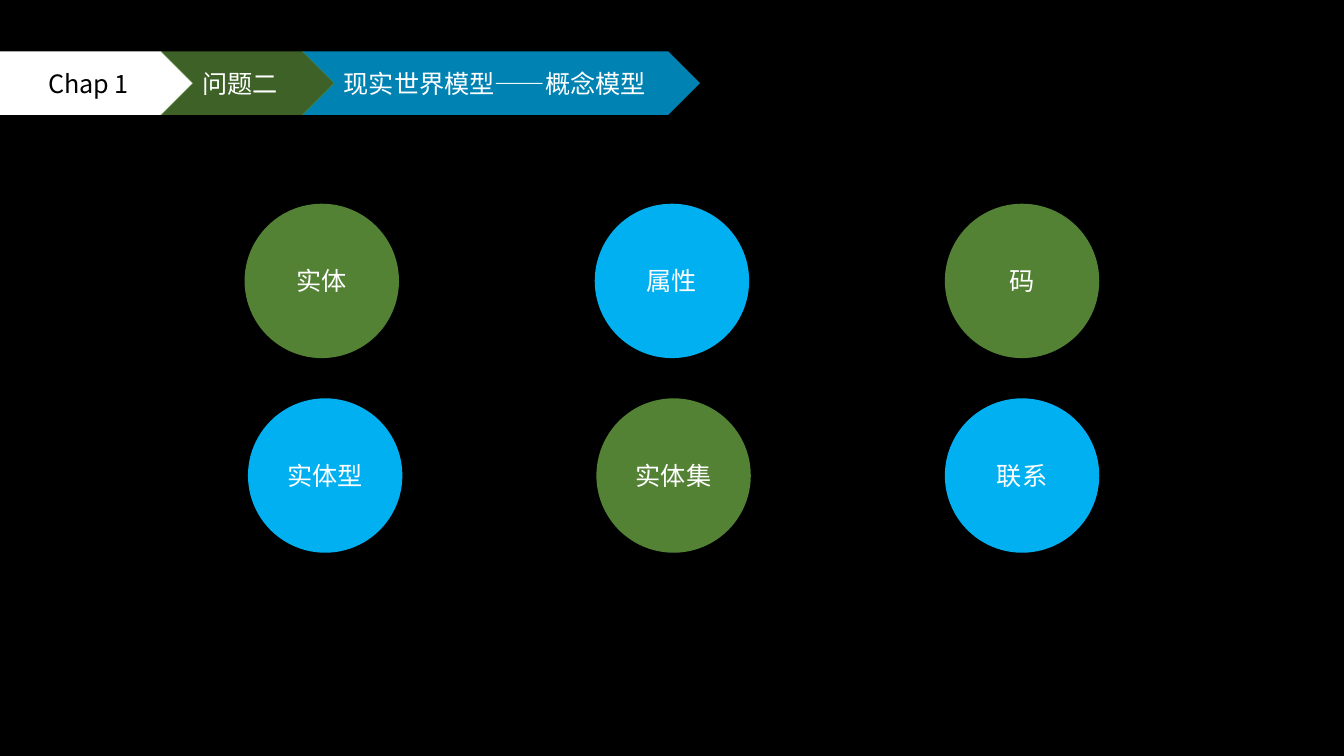
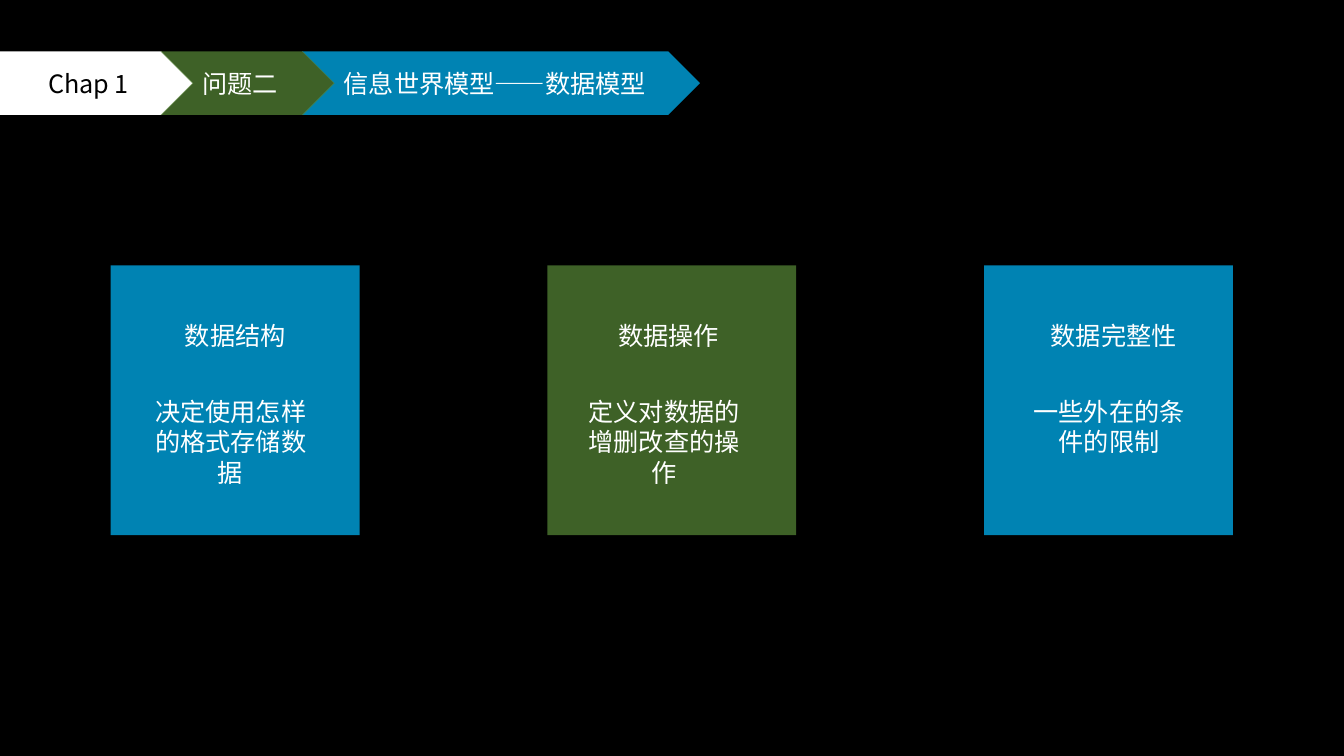
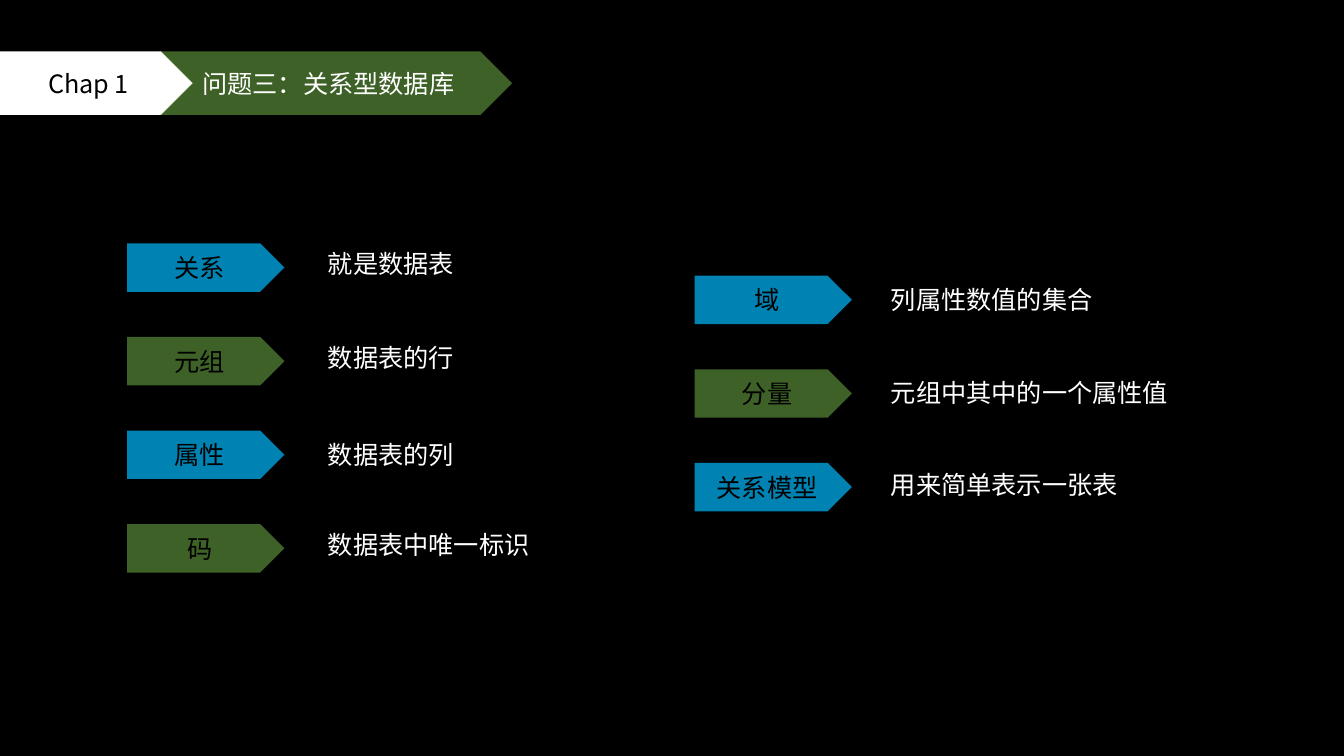
from pptx import Presentation
from pptx.dml.color import RGBColor
from pptx.enum.shapes import MSO_SHAPE as Preset
from pptx.enum.text import MSO_ANCHOR as Anchor, MSO_AUTO_SIZE as AutoSize, PP_ALIGN as Align
from pptx.oxml.ns import qn
from pptx.util import Pt
from lxml.etree import SubElement

COLORS = {"black": "000000", "white": "FFFFFF", "green": "548235", "blue": "00B0F0"}
FONT = "Noto Sans CJK SC"
BAND_TOP, BAND_HEIGHT = 36.8, 45.3


def color(name):
    return RGBColor.from_string(COLORS[name])


def write(shape, text, ink="white", align=Align.CENTER, anchor=Anchor.MIDDLE, size=18):
    frame = shape.text_frame
    frame.word_wrap = True
    frame.vertical_anchor = anchor
    para = frame.paragraphs[0]
    para.alignment = align
    span = para.add_run()
    span.text = text
    span.font.name = FONT
    span.font.size = Pt(size)
    span.font.color.rgb = color(ink)
    SubElement(span.font._element, qn("a:ea"), typeface=FONT)


class Painter:
    def __init__(self):
        self.deck = Presentation()
        self.deck.slide_width, self.deck.slide_height = Pt(960), Pt(540)
        backdrop = self.deck.slide_master.background.fill
        backdrop.solid()
        backdrop.fore_color.rgb = color("black")
        self.page = None

    def start(self):
        self.page = self.deck.slides.add_slide(self.deck.slide_layouts[6])
        self.shape(Preset.PENTAGON, 0, BAND_TOP, 138, BAND_HEIGHT, "white",
                   text="Chap 1", ink="black")

    def shape(self, preset, left, top, width, height, fill, opacity=100, text=None, **style):
        box = self.page.shapes.add_shape(preset, Pt(left), Pt(top), Pt(width), Pt(height))
        box.shadow.inherit = False
        box.line.fill.background()
        box.fill.solid()
        box.fill.fore_color.rgb = color(fill)
        if opacity < 100:
            tint = box._element.spPr.find(qn("a:solidFill"))[0]
            SubElement(tint, qn("a:alpha"), val=str(opacity * 1000))
        if text:
            write(box, text, **style)

    def text(self, text, left, top, width, height=29, align=Align.LEFT):
        box = self.page.shapes.add_textbox(Pt(left), Pt(top), Pt(width), Pt(height))
        box.text_frame.auto_size = AutoSize.SHAPE_TO_FIT_TEXT
        write(box, text, align=align, anchor=Anchor.TOP)

    def crumb(self, text, left, width, fill):
        self.shape(Preset.CHEVRON, left, BAND_TOP, width, BAND_HEIGHT, fill, 75, text,
                   align=Align.LEFT)

    def question(self, text, width=124.2):
        self.crumb(text, 114.8, width, "green")

    def topic(self, text):
        self.crumb(text, 215.8, 284.2, "blue")

    def term(self, index, text, left, top):
        self.shape(Preset.PENTAGON, left, top, 112.3, 34.6, alternate(index), 75, text,
                   ink="black")


def alternate(index):
    return ("blue", "green")[index % 2]


def concept_slide(painter):
    painter.start()
    rows = [
        (174.7, 250.1, 145.5, ("实体", "属性", "码")),
        (177.1, 248.9, 284.5, ("实体型", "实体集", "联系")),
    ]
    for row, (left, step, top, concepts) in enumerate(rows):
        for column, concept in enumerate(concepts):
            painter.shape(Preset.FLOWCHART_CONNECTOR, left + column * step, top, 110.3, 110.3,
                          alternate(row + column + 1), text=concept)
    painter.topic("现实世界模型——概念模型")
    painter.question("问题二")


def data_model_slide(painter):
    painter.start()
    parts = [
        ("数据结构", "决定使用怎样的格式存储数据", 101.7, 73),
        ("数据操作", "定义对数据的增删改查的操作", 411.3, 73),
        ("数据完整性", "一些外在的条件的限制", 729.2, 51),
    ]
    for index, (heading, detail, left, height) in enumerate(parts):
        painter.shape(Preset.RECTANGLE, 79.1 + index * 311.9, 189.6, 177.8, 192.6,
                      alternate(index), 75)
        painter.text(heading, left + 3.3, 224.9, 126, align=Align.CENTER)
        painter.text(detail, left, 279.6, 126, height, Align.CENTER)
    painter.topic("信息世界模型——数据模型")
    painter.question("问题二")


def relational_slide(painter):
    painter.start()
    columns = [
        (90.9, 173.8, 227.2, [
            ("关系", "就是数据表", 173.8, 152),
            ("元组", "数据表的行", 241, 152),
            ("属性", "数据表的列", 310.3, 152),
            ("码", "数据表中唯一标识", 374.6, 185),
        ]),
        (496.2, 196.9, 629.3, [
            ("域", "列属性数值的集合", 199.4, 167),
            ("分量", "元组中其中的一个属性值", 266.2, 214),
            ("关系模型", "用来简单表示一张表", 332, 220),
        ]),
    ]
    for left, top, meaning_left, entries in columns:
        for index, (term, meaning, meaning_top, width) in enumerate(entries):
            painter.term(index, term, left, top + index * 66.85)
            painter.text(meaning, meaning_left, meaning_top, width)
    painter.question("问题三：关系型数据库", 251)


painter = Painter()
concept_slide(painter)
data_model_slide(painter)
relational_slide(painter)
painter.deck.save("out.pptx")
